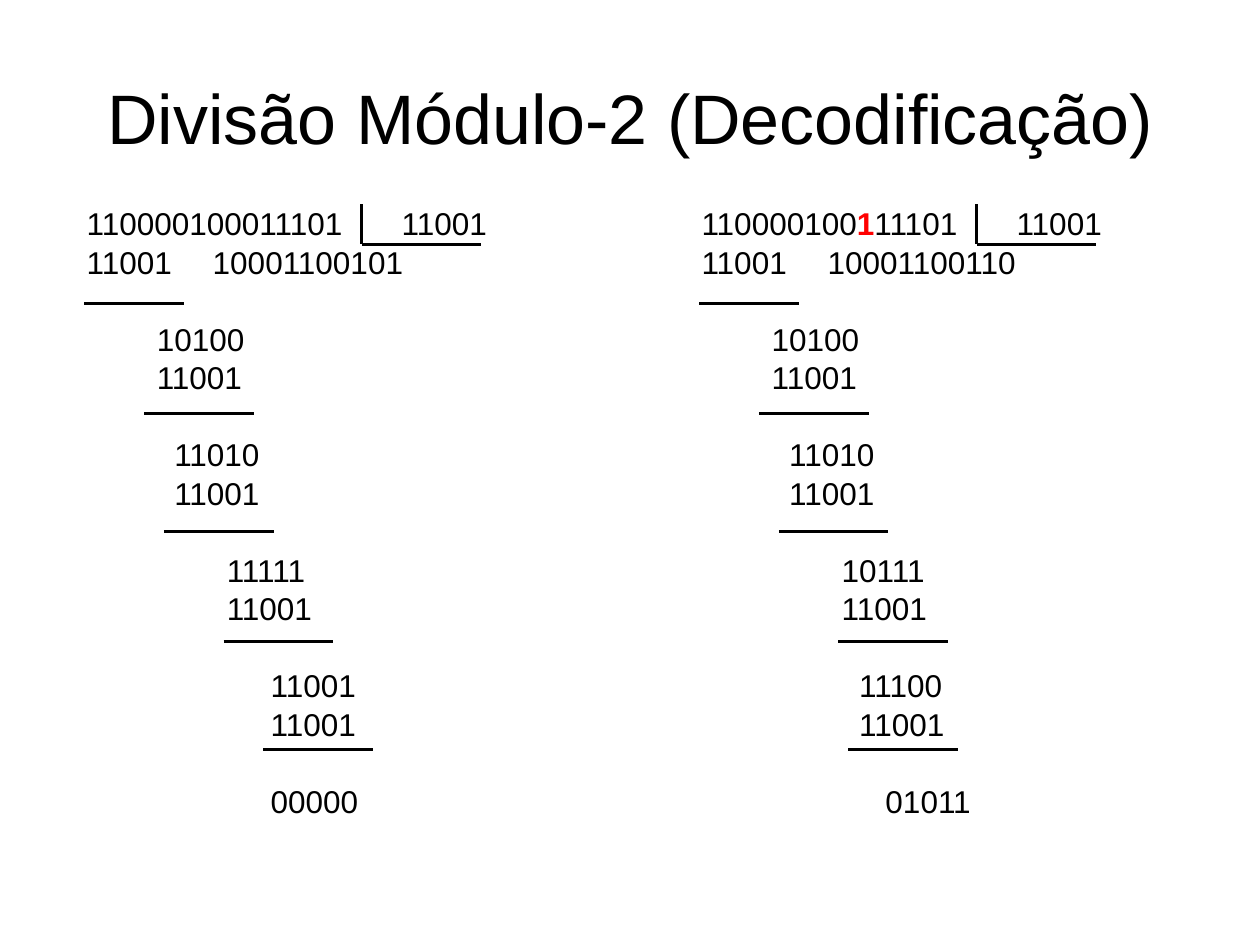
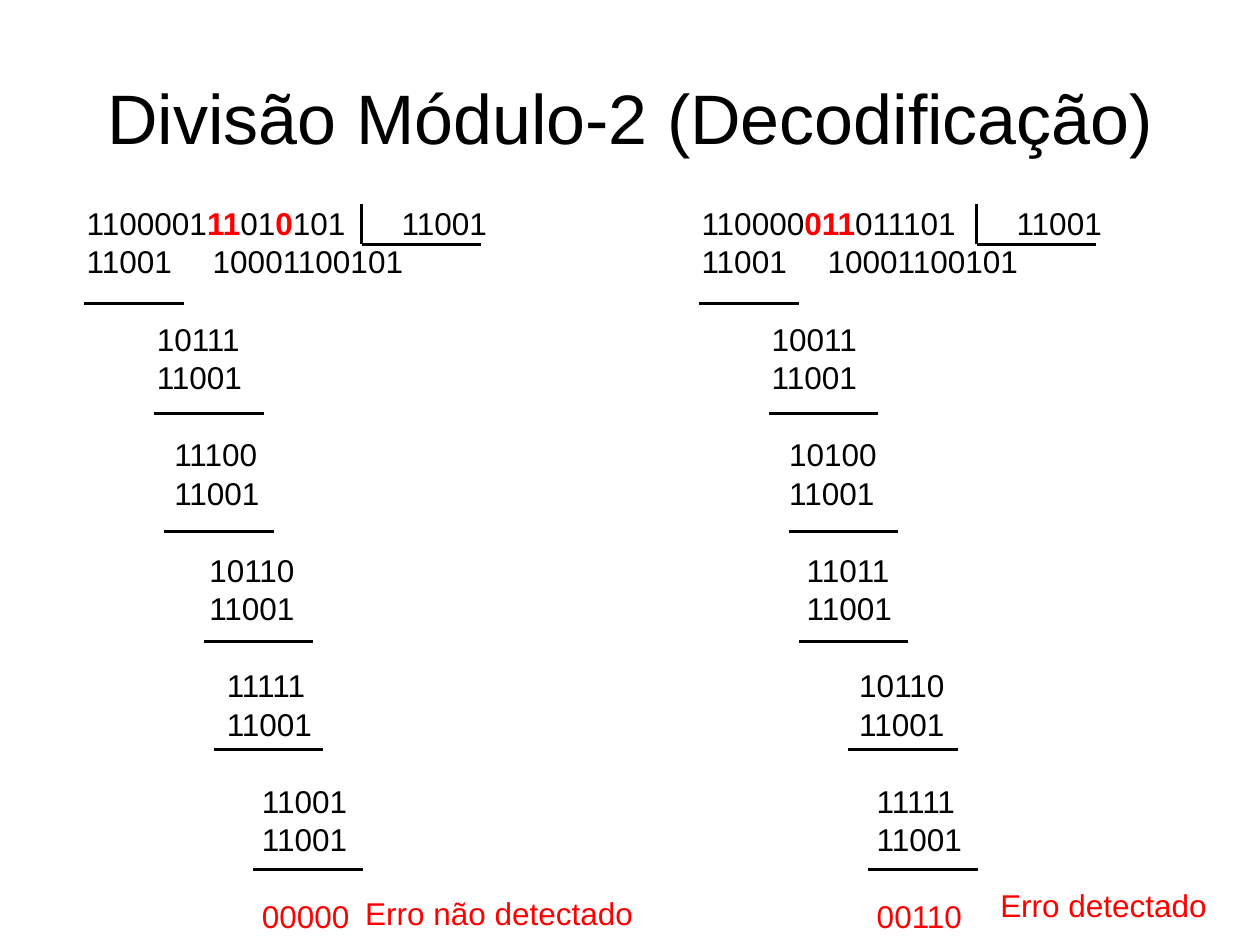
from dataclasses import dataclass

from lxml.etree import SubElement
from pptx import Presentation
from pptx.dml.color import RGBColor
from pptx.enum.shapes import MSO_CONNECTOR
from pptx.enum.text import MSO_ANCHOR, MSO_AUTO_SIZE, PP_ALIGN
from pptx.oxml.ns import qn
from pptx.util import Inches, Pt


@dataclass(frozen=True)
class Theme:
    font: str = "Arial"
    ink: RGBColor = RGBColor(0x00, 0x00, 0x00)
    alert: RGBColor = RGBColor(0xFF, 0x00, 0x00)
    title_size: Pt = Pt(40)
    body_size: Pt = Pt(18)
    line_gap: Pt = Pt(11.2)
    step_gap: Pt = Pt(33.25)
    rule_width: Pt = Pt(2)


theme = Theme()

TITLE = "Divisão Módulo-2 (Decodificação)"
DIVISOR = "11001"
COLUMN_LEFTS = (0.59, 5.47)
INDENT_UNIT = 0.0695
RULE_UNIT = 0.079
RULE_TOPS = (2.41, 3.28, 4.22, 5.09, 5.95, 6.9)
DIVISOR_TAB = 2.23
QUOTIENT_TAB = 2.27

# Asterisks enclose wrong bits; each step is (indent, minuend), the last one the remainder.
pages = [
    {
        "height": 4.85,
        "remainder_color": theme.ink,
        "captions": [],
        "divisions": [
            {
                "dividend": "110000100011101",
                "quotient": "10001100101",
                "steps": [(8, "10100"), (10, "11010"), (16, "11111"), (21, "11001"), (21, "00000")],
                "rules": (1, 7, 9, 15, 19),
            },
            {
                "dividend": "110000100*1*11101",
                "quotient": "10001100110",
                "steps": [(8, "10100"), (10, "11010"), (16, "10111"), (18, "11100"), (21, "01011")],
                "rules": (1, 7, 9, 15, 16),
            },
        ],
    },
    {
        "height": 5.77,
        "remainder_color": theme.alert,
        "captions": [
            ("Erro não detectado", 2.8, 7.05, 2.36),
            ("Erro detectado", 7.84, 6.98, 1.89),
        ],
        "divisions": [
            {
                "dividend": "1100001*11*01*0*101",
                "quotient": "10001100101",
                "steps": [(8, "10111"), (10, "11100"), (14, "10110"), (16, "11111"), (20, "11001"), (20, "00000")],
                "rules": (1, 8, 9, 13, 14, 18),
            },
            {
                "dividend": "110000*011*011101",
                "quotient": "10001100101",
                "steps": [(8, "10011"), (10, "10100"), (12, "11011"), (18, "10110"), (20, "11111"), (20, "00110")],
                "rules": (1, 8, 10, 11, 16, 18),
            },
        ],
    },
]


def write_line(box, text, color=theme.ink, indent=0, tab=None, gap=theme.line_gap, spacing=0.5):
    frame = box.text_frame
    paragraph = frame.paragraphs[0] if not frame.text else frame.add_paragraph()
    paragraph.line_spacing = spacing
    paragraph.space_before = gap
    paragraph.font.name = theme.font
    paragraph.font.size = theme.body_size
    paragraph.font.color.rgb = color
    properties = paragraph._p.get_or_add_pPr()
    properties.set("marL", str(Inches(indent * INDENT_UNIT)))
    properties.set("indent", "0")
    if tab:
        tabs = SubElement(properties, qn("a:tabLst"))
        SubElement(tabs, qn("a:tab"), pos=str(Inches(tab)), algn="l")
        properties.find(qn("a:defRPr")).addprevious(tabs)
    for number, part in enumerate(text.split("*")):
        span = paragraph.add_run()
        span.text = part
        if number % 2:
            span.font.bold = True
            span.font.color.rgb = theme.alert


def draw_line(page, left, top, right, bottom):
    line = page.shapes.add_connector(
        MSO_CONNECTOR.STRAIGHT, Inches(left), Inches(top), Inches(right), Inches(bottom)
    )
    line.line.color.rgb = theme.ink
    line.line.width = theme.rule_width
    SubElement(line._element.spPr, qn("a:effectLst"))


deck = Presentation()
deck.slide_width = Inches(10)
deck.slide_height = Inches(7.5)

for content in pages:
    page = deck.slides.add_slide(deck.slide_layouts[5])
    title = page.shapes.title
    title.left, title.top, title.width, title.height = Inches(0.5), Inches(0.3), Inches(9), Inches(1.25)
    title.text_frame.text = TITLE
    title.text_frame.vertical_anchor = MSO_ANCHOR.MIDDLE
    heading = title.text_frame.paragraphs[0]
    heading.alignment = PP_ALIGN.CENTER
    heading.font.name = theme.font
    heading.font.size = theme.title_size
    heading.font.color.rgb = theme.ink

    for left, division in zip(COLUMN_LEFTS, content["divisions"]):
        box = page.shapes.add_textbox(Inches(left), Inches(1.7), Inches(4.1), Inches(content["height"]))
        box.text_frame.word_wrap = True
        box.text_frame.auto_size = MSO_AUTO_SIZE.SHAPE_TO_FIT_TEXT
        write_line(box, f"{division['dividend']}\t{DIVISOR}", tab=DIVISOR_TAB)
        write_line(box, f"{DIVISOR}\t{division['quotient']}", tab=QUOTIENT_TAB)
        *subtractions, (last_indent, remainder) = division["steps"]
        for indent, minuend in subtractions:
            write_line(box, minuend, indent=indent, gap=theme.step_gap)
            write_line(box, DIVISOR, indent=indent)
        write_line(box, remainder, content["remainder_color"], last_indent, gap=theme.step_gap)

        corner = left + 2.28
        draw_line(page, corner, 1.62, corner, 1.94)
        draw_line(page, corner, 1.94, corner + 0.95, 1.94)
        for number, (offset, top) in enumerate(zip(division["rules"], RULE_TOPS)):
            start = left + offset * RULE_UNIT
            draw_line(page, start, top, start + (0.87 if number else 0.79), top)

    for text, left, top, width in content["captions"]:
        caption = page.shapes.add_textbox(Inches(left), Inches(top), Inches(width), Inches(0.4))
        caption.text_frame.word_wrap = True
        caption.text_frame.auto_size = MSO_AUTO_SIZE.SHAPE_TO_FIT_TEXT
        write_line(caption, text, theme.alert, spacing=1.0)

deck.save("out.pptx")
